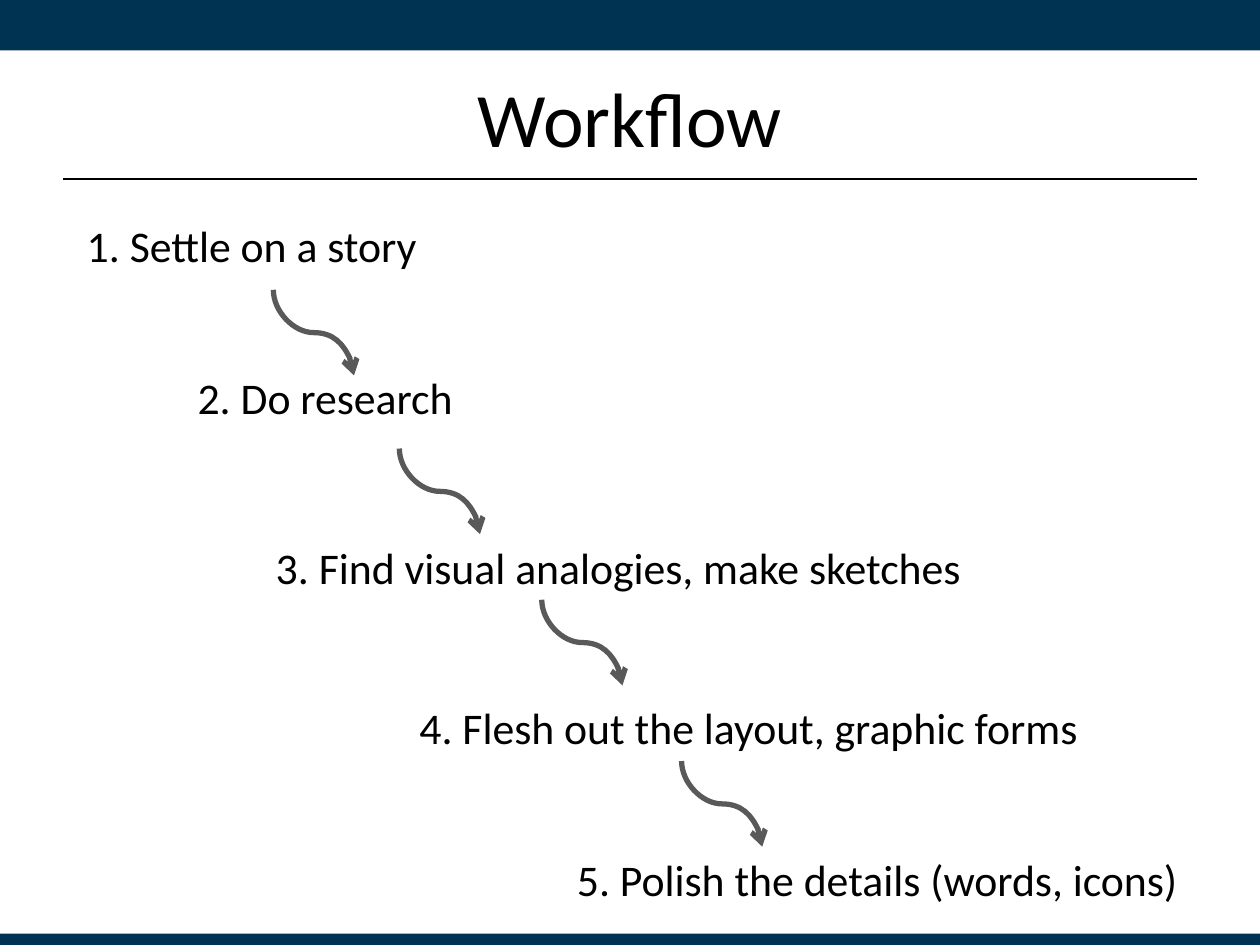
from pptx import Presentation
from pptx import util as u
from pptx.dml.color import RGBColor
from pptx.enum import shapes, text
from pptx.oxml import ns
from lxml import etree

NAVY = RGBColor(0x00, 0x32, 0x52)
GRAY = RGBColor(0x59, 0x59, 0x59)
BLACK = RGBColor(0, 0, 0)
FONT = "Calibri"

# Left, top, width and wording of each step
STEPS = [
    (0.59, 1.69, 2.83, "1. Settle on a story"),
    (1.47, 2.89, 2.34, "2. Do research"),
    (2.09, 4.24, 5.7, "3. Find visual analogies, make sketches"),
    (3.23, 5.51, 5.48, "4. Flesh out the layout, graphic forms"),
    (4.48, 6.72, 5.02, "5. Polish the details (words, icons)"),
]
# Start point of the arrow after each step
ARROWS = [(2.17, 2.3), (3.17, 3.56), (4.3, 4.76), (5.41, 6.04)]
RUN, DROP = 0.64, 0.68


def set_font(para, size):
    para.font.name = FONT
    para.font.size = u.Pt(size)
    para.font.color.rgb = BLACK


def add_band(slide, top, height):
    band = slide.shapes.add_shape(
        shapes.MSO_SHAPE.RECTANGLE,
        0, u.Inches(top), u.Inches(10), u.Inches(height))
    band.shadow.inherit = False
    band.fill.solid()
    band.fill.fore_color.rgb = NAVY
    band.line.fill.background()


def add_title(slide, words):
    title = slide.shapes.title
    title.left, title.top = u.Inches(0.5), u.Inches(0.3)
    title.width, title.height = u.Inches(9), u.Inches(1.25)
    frame = title.text_frame
    frame.text = words
    frame.vertical_anchor = text.MSO_ANCHOR.MIDDLE
    para = frame.paragraphs[0]
    para.alignment = text.PP_ALIGN.CENTER
    set_font(para, 44)


def add_step(slide, left, top, width, words):
    box = slide.shapes.add_textbox(
        u.Inches(left), u.Inches(top), u.Inches(width), u.Inches(0.52))
    frame = box.text_frame
    frame.word_wrap = False
    frame.auto_size = text.MSO_AUTO_SIZE.SHAPE_TO_FIT_TEXT
    frame.text = words
    set_font(frame.paragraphs[0], 25)


def add_line(slide, kind, start, end, color, width):
    points = [u.Inches(n) for n in (*start, *end)]
    line = slide.shapes.add_connector(kind, *points)
    line.line.color.rgb = color
    line.line.width = u.Pt(width)
    etree.SubElement(line._element.spPr, ns.qn("a:effectLst"))
    return line


def add_arrow(slide, x, y):
    # The curve is laid on its side about its centre, so it leaves downward
    left = x + (RUN - DROP) / 2
    top = y + (DROP - RUN) / 2
    arrow = add_line(slide, shapes.MSO_CONNECTOR.CURVE, (left, top),
                     (left + DROP, top + RUN), GRAY, 3)
    props = arrow._element.spPr
    frame = props.find(ns.qn("a:xfrm"))
    frame.set("rot", str(270 * 60000))
    frame.set("flipH", "1")
    etree.SubElement(props.find(ns.qn("a:ln")), ns.qn("a:tailEnd"),
                     type="arrow")


def main():
    deck = Presentation()
    deck.slide_width, deck.slide_height = u.Inches(10), u.Inches(7.5)
    slide = deck.slides.add_slide(deck.slide_layouts[5])

    # Frame and heading
    add_band(slide, 0, 0.4)
    add_band(slide, 7.41, 0.1)
    add_title(slide, "Workflow")
    add_line(slide, shapes.MSO_CONNECTOR.STRAIGHT,
             (0.5, 1.42), (9.5, 1.42), BLACK, 1.25)

    # Staircase of steps
    for step in STEPS:
        add_step(slide, *step)
    for start in ARROWS:
        add_arrow(slide, *start)

    deck.save("out.pptx")


if __name__ == "__main__":
    main()
